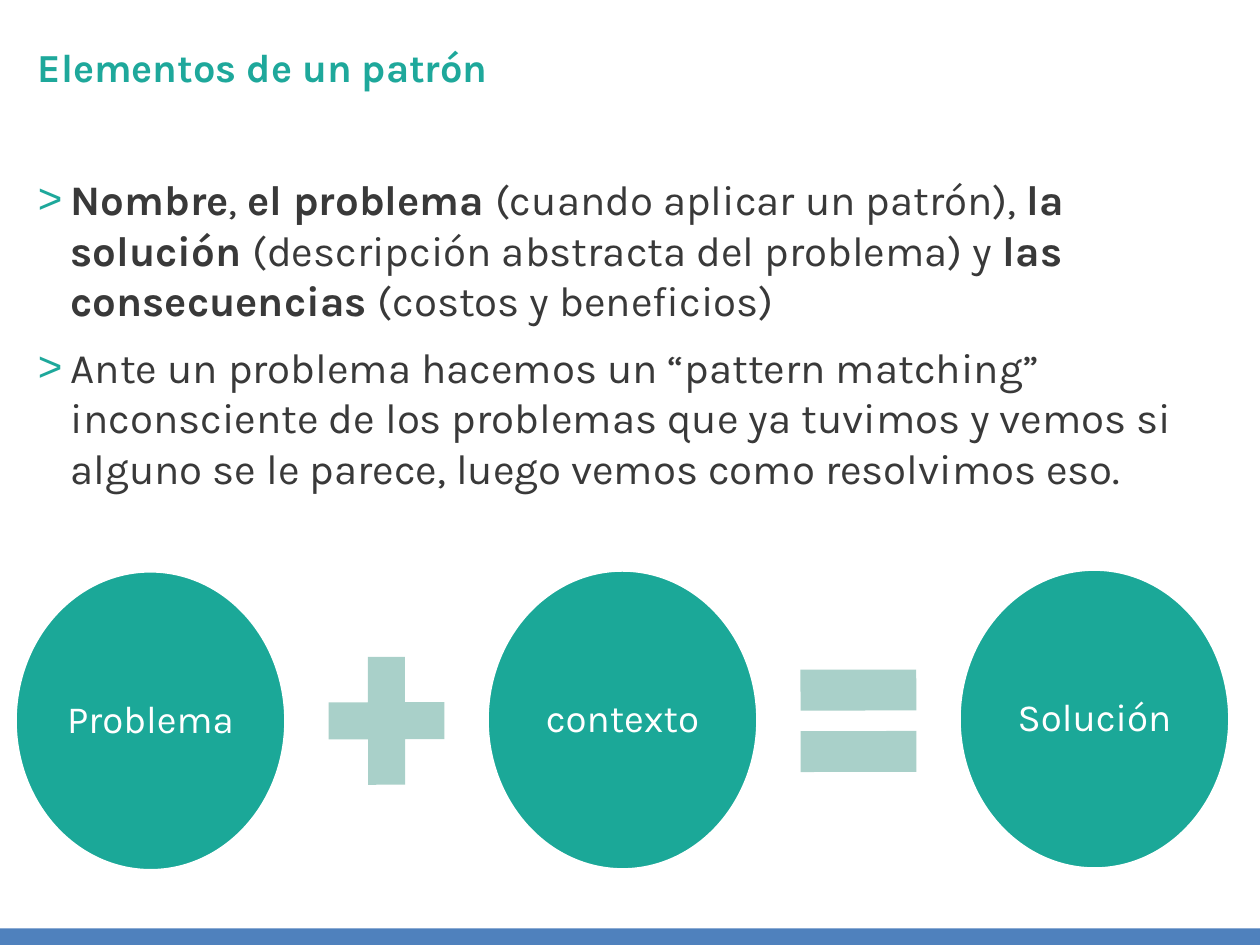
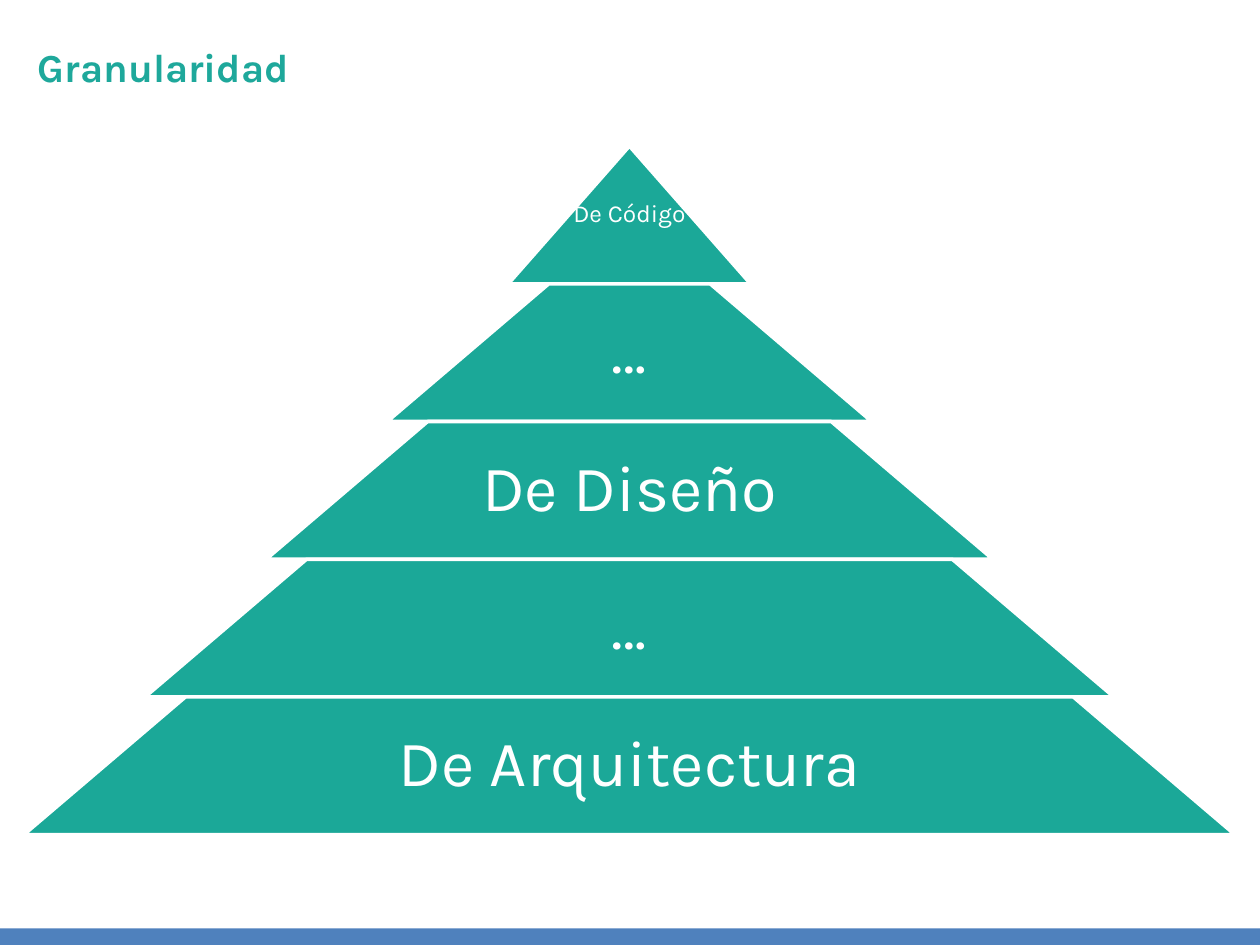
from lxml.etree import SubElement
from pptx import Presentation
from pptx.dml.color import RGBColor
from pptx.enum.shapes import MSO_SHAPE
from pptx.enum.text import MSO_ANCHOR, MSO_AUTO_SIZE, PP_ALIGN
from pptx.oxml.ns import qn
from pptx.util import Pt

COLORS = {
    "teal": "1BA898",
    "title": "1EA89B",
    "operator": "A9D0C9",
    "text": "393939",
    "band": "4F81BD",
    "white": "FFFFFF",
}
FONT = "Karla"
SLIDE_W, SLIDE_H = 720, 540
TITLE_BOX = (14.4, 20.9, 692, 37.4)
BODY_BOX = (14.4, 95.8, 692, 393)
EQUATION_BOX = (8.6, 326.2, 694.2, 171.4)
PYRAMID_BOX = (13.7, 83.5, 692, 393.5)
TILT = -0.1

ELEMENTS = [
    [("Nombre", True), (", ", False), ("el problema ", True),
     ("(cuando aplicar un patrón), ", False), ("la solución ", True),
     ("(descripción abstracta del problema) y ", False),
     ("las consecuencias ", True), ("(costos y beneficios)", False)],
    [("Ante un problema hacemos un “pattern matching” inconsciente de los "
      "problemas que ya tuvimos y vemos si alguno se le parece, luego vemos "
      "como resolvimos eso.", False)],
]
TERMS = ["Problema", "contexto", "Solución"]
OPERATORS = [(MSO_SHAPE.MATH_PLUS, [0.235]),
             (MSO_SHAPE.MATH_EQUAL, [0.235, 0.118])]
LEVELS = ["De Código", "…", "De Diseño", "…", "De Arquitectura"]


def rgb(name):
    return RGBColor.from_string(COLORS[name])


def set_format(obj, **values):
    for name, value in values.items():
        setattr(obj, name, value)


def place(sp, box):
    names = ("left", "top", "width", "height")
    set_format(sp, **{n: Pt(v) for n, v in zip(names, box)})


def setup_frame(tf, anchor, x_inset, y_inset):
    set_format(tf, word_wrap=True, auto_size=MSO_AUTO_SIZE.NONE,
               vertical_anchor=anchor,
               margin_left=Pt(x_inset), margin_right=Pt(x_inset),
               margin_top=Pt(y_inset), margin_bottom=Pt(y_inset))


def add_run(p, text, size, color, bold=False):
    r = p.add_run()
    r.text = text
    set_format(r.font, name=FONT, size=Pt(size), bold=bold)
    r.font.color.rgb = rgb(color)


def add_label(sp, text, size, inset):
    """Write white centred text into a shape or text box."""
    setup_frame(sp.text_frame, MSO_ANCHOR.MIDDLE, inset, inset)
    p = sp.text_frame.paragraphs[0]
    set_format(p, alignment=PP_ALIGN.CENTER, line_spacing=0.9)
    add_run(p, text, size, "white")


def add_figure(s, kind, box, fill, outlined=False, adjustments=()):
    sp = s.shapes.add_shape(kind, *map(Pt, box))
    sp.shadow.inherit = False
    sp.fill.solid()
    sp.fill.fore_color.rgb = rgb(fill)
    if outlined:
        sp.line.color.rgb = rgb("white")
        sp.line.width = Pt(2)
    else:
        sp.line.fill.background()
    for i, value in enumerate(adjustments):
        sp.adjustments[i] = value
    return sp


def add_bullet(p, indent):
    pPr = p._p.get_or_add_pPr()
    pPr.set("marL", str(Pt(indent)))
    pPr.set("indent", str(-Pt(indent)))
    color = SubElement(pPr, qn("a:buClr"))
    SubElement(color, qn("a:srgbClr"), val=COLORS["title"])
    SubElement(pPr, qn("a:buChar"), char=">")


def add_master_band(prs, s):
    """Draw the bottom band and move it to the master all slides share."""
    band = add_figure(s, MSO_SHAPE.RECTANGLE,
                      (0, SLIDE_H - 9.4, SLIDE_W, 9.4), "band")
    prs.slide_master.shapes.element.append(band.element)


def add_titled_slide(prs, layout, title):
    s = prs.slides.add_slide(prs.slide_layouts.get_by_name(layout))
    sp = s.shapes.title
    place(sp, TITLE_BOX)
    setup_frame(sp.text_frame, MSO_ANCHOR.TOP, 7.2, 3.6)
    p = sp.text_frame.paragraphs[0]
    p.alignment = PP_ALIGN.LEFT
    add_run(p, title, 22.7, "title", bold=True)
    return s


def fill_body(s, box, items):
    sp = s.placeholders[1]
    place(sp, box)
    tf = sp.text_frame
    setup_frame(tf, MSO_ANCHOR.TOP, 7.2, 3.6)
    for i, runs in enumerate(items):
        p = tf.add_paragraph() if i else tf.paragraphs[0]
        p.space_before = Pt(9.3 if i else 0)
        add_bullet(p, 18.75)
        for text, bold in runs:
            add_run(p, text, 24, "text", bold)


def add_equation(s, box):
    left, top, width, height = box
    term_w, op_w, op_h = 154.8, 90, 99.4
    step = (width - term_w) / (len(TERMS) - 1)
    for i, term in enumerate(TERMS):
        sp = add_figure(s, MSO_SHAPE.OVAL,
                        (left + i * step, top - i * 0.5, term_w, height),
                        "teal", outlined=True)
        sp.rotation = TILT
        add_label(sp, term, 22, 2.2)
    op_left = left + (term_w + step - op_w) / 2
    op_top = top + (height - op_h) / 2
    for i, (kind, adjustments) in enumerate(OPERATORS):
        sp = add_figure(s, kind, (op_left + i * step, op_top, op_w, op_h),
                        "operator", adjustments=adjustments)
        sp.rotation = TILT


def add_pyramid(s, box):
    left, top, width, height = box
    level_h = height / len(LEVELS)
    for i, level in enumerate(LEVELS):
        level_w = width * (i + 1) / len(LEVELS)
        y = top + i * level_h
        text_w = level_w * 0.65 if i else level_w
        center = left + width / 2
        add_figure(s, MSO_SHAPE.TRAPEZOID,
                   (center - level_w / 2, y, level_w, level_h),
                   "teal", outlined=True, adjustments=[1.173])
        label = s.shapes.add_textbox(Pt(center - text_w / 2), Pt(y),
                                     Pt(text_w), Pt(level_h))
        add_label(label, level, 37 if i else 14, 3.6)


def main():
    prs = Presentation()
    set_format(prs, slide_width=Pt(SLIDE_W), slide_height=Pt(SLIDE_H))

    s = add_titled_slide(prs, "Title and Content", "Elementos de un patrón")
    add_master_band(prs, s)
    fill_body(s, BODY_BOX, ELEMENTS)
    add_equation(s, EQUATION_BOX)

    s = add_titled_slide(prs, "Title Only", "Granularidad")
    add_pyramid(s, PYRAMID_BOX)

    prs.save("out.pptx")


if __name__ == "__main__":
    main()
